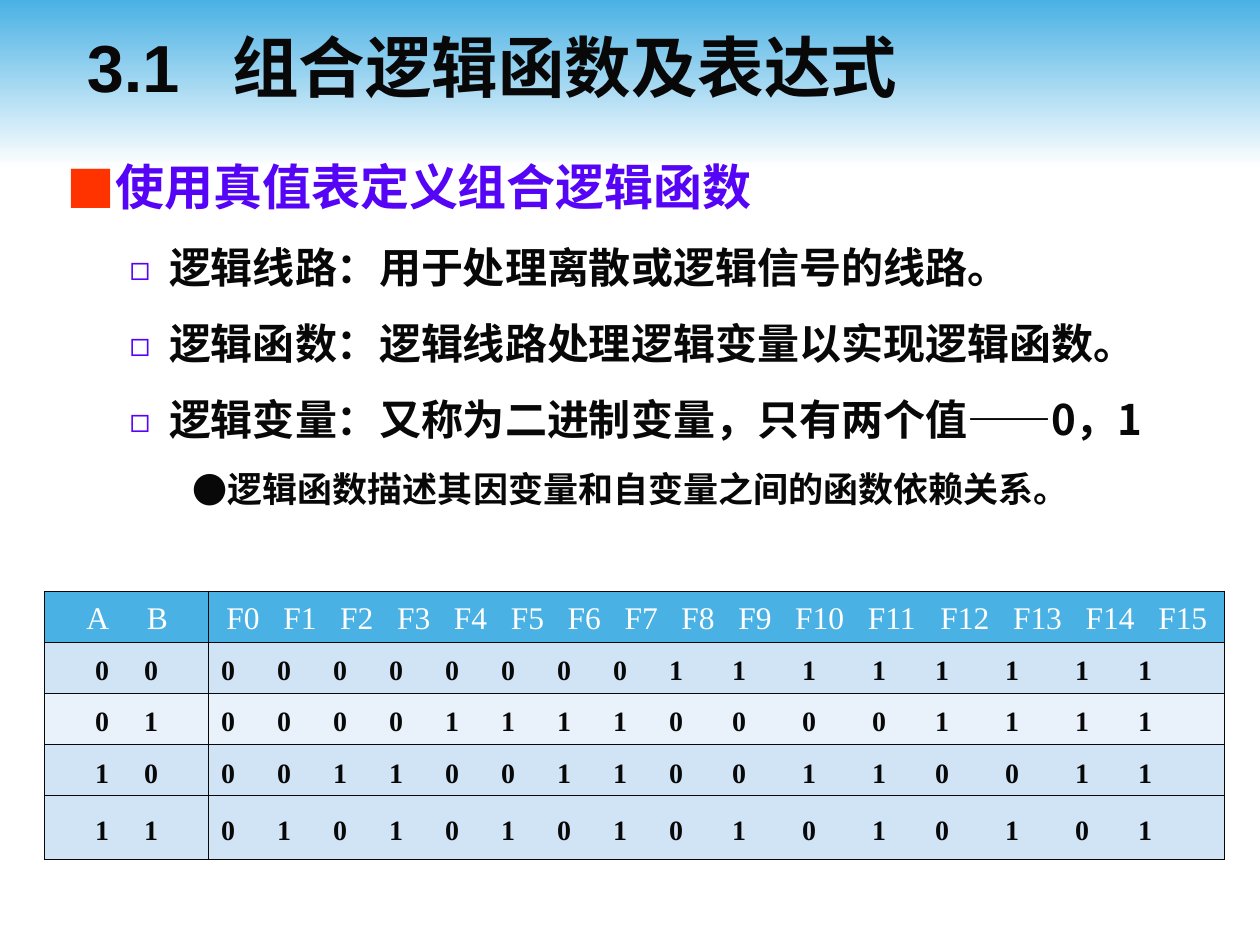
"""Build a slide on combinational logic functions with their truth table."""
from dataclasses import dataclass
from itertools import accumulate, product
from typing import Optional

from lxml import etree
from pptx import Presentation
from pptx.dml.color import RGBColor
from pptx.enum import shapes, text
from pptx.oxml import ns
from pptx.util import Pt


@dataclass(frozen=True)
class Theme:
    blue: str = "4AB1E4"
    white: str = "FFFFFF"
    ink: str = "080808"
    violet: str = "5504F6"
    red: str = "FF3300"
    band: str = "D0E4F5"
    pale: str = "E9F2FA"
    sans: str = "Arial"
    heading: str = "Noto Sans CJK JP"
    body: str = "Noto Sans CJK SC"
    serif: str = "Times New Roman"
    title_size: float = 38
    header_size: float = 18
    digit_size: float = 16


THEME = Theme()


@dataclass(frozen=True)
class Level:
    size: float
    font: str
    color: str
    bullet: str
    bullet_color: str
    bullet_percent: int
    margin: float
    hanging: float
    before: float
    line: float


@dataclass(frozen=True)
class RowStyle:
    size: float
    bold: bool
    color: str
    offsets: tuple
    stops: tuple


LEVELS = (
    Level(28, THEME.heading, THEME.violet, "■", THEME.red, 100, 27, 27, 17.5, 37),
    Level(24, THEME.body, THEME.ink, "◻", THEME.violet, 80, 58.5, 22.5, 15, 28.4),
    Level(20, THEME.body, THEME.ink, "●", THEME.ink, 100, 90, 18, 12.5, 25),
)
OUTLINE = (
    (0, "使用真值表定义组合逻辑函数"),
    (1, "逻辑线路：用于处理离散或逻辑信号的线路。"),
    (1, "逻辑函数：逻辑线路处理逻辑变量以实现逻辑函数。"),
    (1, "逻辑变量：又称为二进制变量，只有两个值——0，1"),
    (2, "逻辑函数描述其因变量和自变量之间的函数依赖关系。"),
)
HEADER = RowStyle(THEME.header_size, False, THEME.white, (17, 3),
                  ([34.5], list(accumulate([32.5] * 10 + [41.5] * 5))))
DIGITS = RowStyle(THEME.digit_size, True, THEME.ink, (22, 0),
                  ([28], list(accumulate([32] * 8 + [36, 40, 40, 36, 40, 40, 36]))))


def add_element(parent, tag: str, **attributes):
    """Append a DrawingML child element."""
    element = etree.SubElement(parent, ns.qn(tag))
    for name, value in attributes.items():
        element.set(name, str(value))
    return element


def write(paragraph, words: str, *, size: float, font: str, color: str,
          bold: bool = True, asian: Optional[str] = None, line: Optional[float] = None,
          before: float = 0, stops=()) -> None:
    """Write formatted words with optional tab stops into a paragraph."""
    run = paragraph.add_run()
    run.text = words
    run.font.size, run.font.bold, run.font.name = Pt(size), bold, font
    run.font.color.rgb = RGBColor.from_string(color)
    add_element(run._r.get_or_add_rPr(), "a:ea", typeface=asian or font)
    paragraph.alignment = text.PP_ALIGN.LEFT
    paragraph.space_before = Pt(before)
    if line:
        paragraph.line_spacing = Pt(line)
    if stops:
        tabs = add_element(paragraph._p.get_or_add_pPr(), "a:tabLst")
        for stop in stops:
            add_element(tabs, "a:tab", pos=Pt(stop), algn="l")


def add_band(slide) -> None:
    """Put the fading blue band behind everything else."""
    band = slide.shapes.add_shape(shapes.MSO_SHAPE.RECTANGLE, 0, 0, Pt(720), Pt(96))
    band.shadow.inherit = False
    band.line.fill.background()
    band.fill.gradient()
    band.fill.gradient_angle = 270
    for stop, color, position in zip(band.fill.gradient_stops, (THEME.blue, THEME.white), (0, 1)):
        stop.color.rgb = RGBColor.from_string(color)
        stop.position = position
    slide.shapes._spTree.insert(2, band._element)


def add_title(slide, words: str) -> None:
    """Place and fill the title placeholder."""
    title = slide.shapes.title
    title.left, title.top, title.width, title.height = Pt(42.5), Pt(3.6), Pt(648), Pt(68.4)
    title.text_frame.vertical_anchor = text.MSO_ANCHOR.MIDDLE
    write(title.text_frame.paragraphs[0], words, size=THEME.title_size, font=THEME.sans,
          asian=THEME.body, color=THEME.ink, stops=[83])


def add_outline(slide) -> None:
    """Add the bulleted outline."""
    frame = slide.shapes.add_textbox(Pt(31), Pt(82.8), Pt(648), Pt(413.3)).text_frame
    frame.word_wrap = True
    for index, (depth, words) in enumerate(OUTLINE):
        paragraph = frame.add_paragraph() if index else frame.paragraphs[0]
        level = LEVELS[depth]
        paragraph.level = depth
        write(paragraph, words, size=level.size, font=level.font, color=level.color,
              line=level.line, before=level.before if index else 0)
        properties = paragraph._p.get_or_add_pPr()
        properties.set("marL", str(Pt(level.margin)))
        properties.set("indent", str(-Pt(level.hanging)))
        add_element(add_element(properties, "a:buClr"), "a:srgbClr", val=level.bullet_color)
        add_element(properties, "a:buSzPct", val=level.bullet_percent * 1000)
        add_element(properties, "a:buFont", typeface=THEME.body)
        add_element(properties, "a:buChar", char=level.bullet)


def format_cell(cell, color: str) -> None:
    """Border and fill a table cell."""
    properties = cell._tc.get_or_add_tcPr()
    for side in ("a:lnL", "a:lnR", "a:lnT", "a:lnB"):
        line = add_element(properties, side, w=Pt(0.45))
        add_element(add_element(line, "a:solidFill"), "a:srgbClr", val=THEME.ink)
    cell.fill.solid()
    cell.fill.fore_color.rgb = RGBColor.from_string(color)
    cell.vertical_anchor = text.MSO_ANCHOR.MIDDLE


def add_truth_table(slide) -> None:
    """Add the table of all sixteen functions of two variables."""
    rows = [(["A", "B"], [f"F{number}" for number in range(16)])]
    for a, b in product((0, 1), repeat=2):
        shift = 3 - (2 * a + b)
        rows.append(([str(a), str(b)], [str(number >> shift & 1) for number in range(16)]))
    table = slide.shapes.add_table(5, 2, Pt(25.2), Pt(337.7), Pt(674.6), Pt(153.4)).table
    for column, width in zip(table.columns, (94, 580.6)):
        column.width = Pt(width)
    fills = (THEME.blue, THEME.band, THEME.pale, THEME.band, THEME.band)
    for index, (groups, height) in enumerate(zip(rows, (29.2, 29.2, 29.2, 29.2, 36.6))):
        table.rows[index].height = Pt(height)
        style = DIGITS if index else HEADER
        for column, values in enumerate(groups):
            cell = table.cell(index, column)
            format_cell(cell, fills[index])
            cell.margin_left, cell.margin_right = Pt(7.2 + style.offsets[column]), 0
            write(cell.text_frame.paragraphs[0], "\t".join(values), size=style.size,
                  font=THEME.serif, color=style.color, bold=style.bold, line=22,
                  stops=style.stops[column])


def main() -> None:
    """Build and save the presentation."""
    presentation = Presentation()
    presentation.slide_width, presentation.slide_height = Pt(720), Pt(540)
    slide = presentation.slides.add_slide(presentation.slide_layouts[5])
    add_band(slide)
    add_title(slide, "3.1\t组合逻辑函数及表达式")
    add_outline(slide)
    add_truth_table(slide)
    presentation.save("out.pptx")


if __name__ == "__main__":
    main()
